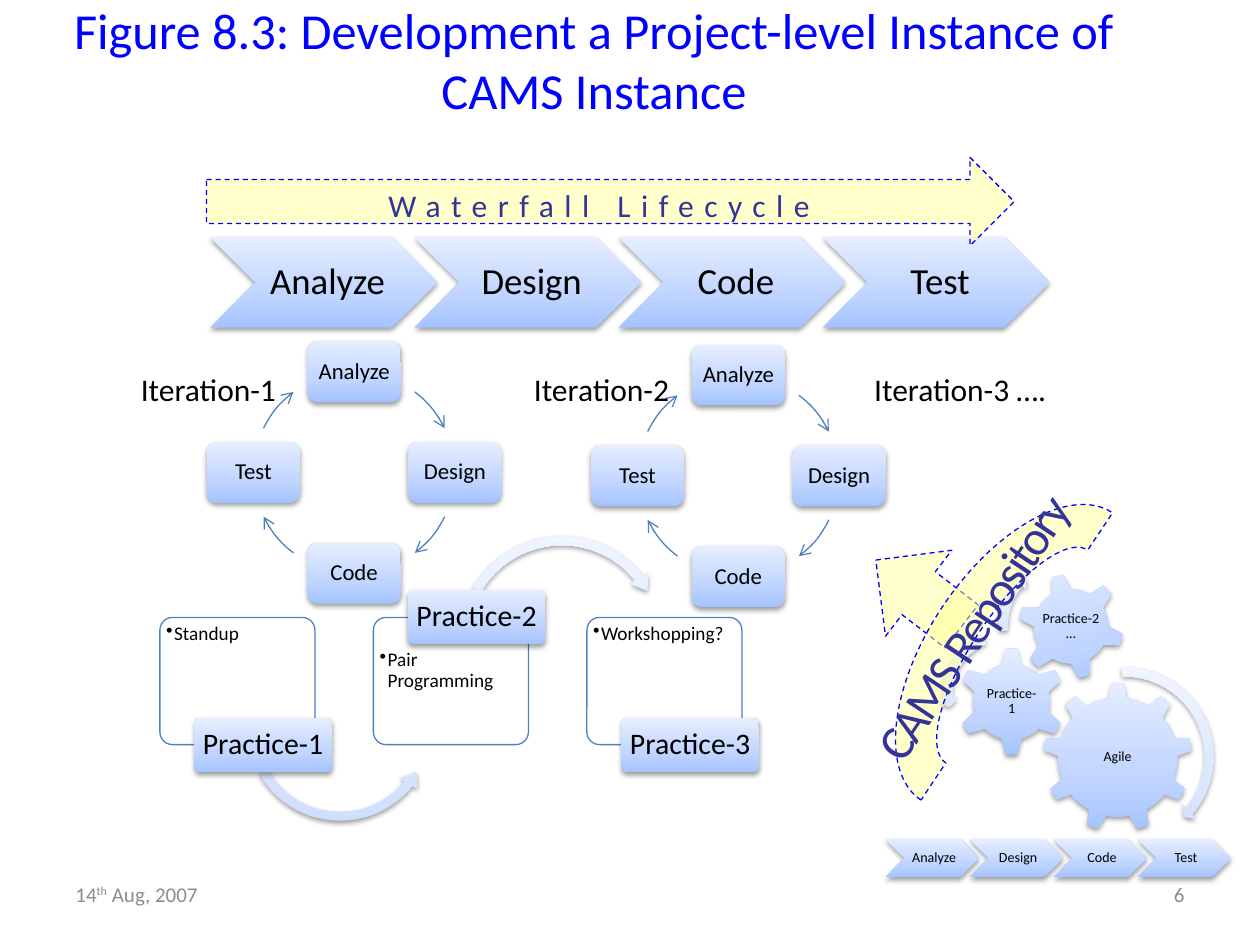
from lxml.etree import SubElement
from pptx import Presentation
from pptx.dml.color import RGBColor
from pptx.enum.dml import MSO_LINE
from pptx.enum.shapes import MSO_SHAPE as Shape
from pptx.enum.text import MSO_ANCHOR as Anchor, PP_ALIGN as Align
from pptx.oxml.ns import qn
from pptx.util import Pt

BLACK, WHITE = RGBColor(0, 0, 0), RGBColor(255, 255, 255)
BLUE, INDIGO = RGBColor(0, 0, 0xFF), RGBColor(0x33, 0x33, 0x99)
STEEL, GREY = RGBColor(0x4F, 0x81, 0xBD), RGBColor(0x8C, 0x8C, 0x8C)
YELLOW = RGBColor(0xFF, 0xFF, 0x99)
DEEP = [(0, "A4C4FF"), (35, "BFD4FF"), (100, "E6EEFF")]
PALE = [(0, "CDDDFE"), (35, "DBE6FE"), (100, "F0F5FF")]

# Content
TITLE = "Figure 8.3: Development a Project-level Instance of CAMS Instance"
PHASES = ["Analyze", "Design", "Code", "Test"]
# Chevron rows: left, top, width, height, text size, insets
CHEVRON_ROWS = [(120.2, 135.4, 129.6, 51.8, 21, (6.5, 2, 2, 2)),
                (506.2, 479.5, 53.3, 21.6, 8, (3, 1, 1, 1))]
# Cycles: centre of each ring, and the angles of its four arrows
CYCLES = [(202.4, 270), (421.9, 271.9)]
RING, NODE_WIDTH, NODE_HEIGHT = 57.6, 53.3, 34.6
DIRECTIONS = [(0, -1), (1, 0), (0, 1), (-1, 0)]
ARCS = [(307, 334), (26, 53), (127, 154), (206, 233)]
ITERATIONS = [("Iteration-1", 73.4, 93), ("Iteration-2", 298, 93),
              ("Iteration-3 ….", 492.5, 114)]
# Practices: name, note, top inset of the note, top of the name, arrow
PRACTICES = [
    ("Practice-1", "Standup", 1.5, 410.4,
     (Shape.LEFT_CIRCULAR_ARROW, 138.2, 360, 112.3,
      (0.045, 5.693, 23.448, 90.245, 0.052))),
    ("Practice-2", "Pair Programming", 16.5, 337,
     (Shape.CIRCULAR_ARROW, 259.2, 303.1, 123.8,
      (0.041, 5.122, 193.123, 125.755, 0.048))),
    ("Practice-3", "Workshopping?", 1.5, 410.4, None),
]
# Gears: text, shape, left, top, size, rotation, label size
GEARS = [("Agile", Shape.GEAR_9, 596.2, 390.2, 85, 0, 51),
         ("Practice-1", Shape.GEAR_6, 547.2, 370.1, 61.9, 0, 31),
         ("Practice-2…", Shape.GEAR_6, 581.8, 327.6, 60.5, 345, 34)]
GEAR_ARROWS = [
    (Shape.CIRCULAR_ARROW, 588.2, 378, 108.7, (0.047, 2.99, 24.181, 160.916, 0.055)),
    (Shape.LEFT_CIRCULAR_ARROW, 535.7, 357.1, 79.2, (0.065, 4.3, 104.891, 148.378, 0.075)),
    (Shape.CIRCULAR_ARROW, 567.4, 314.6, 85, (0.06, 3.941, 133.138, 105.082, 0.07)),
]

deck = Presentation()
deck.slide_width, deck.slide_height = Pt(720), Pt(540)
page = deck.slides.add_slide(deck.slide_layouts[5])


def apply(target, values):
    for name, value in values.items():
        setattr(target, name, value)


def write(box, text, size, color=BLACK, align=Align.CENTER, anchor=Anchor.MIDDLE,
          insets=(7.2, 3.6, 7.2, 3.6), wrap=True, leading=None, tracking=None):
    """Fill a box with one paragraph; text may be a list of (text, baseline)."""
    frame = box.text_frame
    sides = ("margin_left", "margin_top", "margin_right", "margin_bottom")
    apply(frame, dict(zip(sides, map(Pt, insets)), word_wrap=wrap, vertical_anchor=anchor))
    para = frame.paragraphs[0]
    apply(para, {"alignment": align, "line_spacing": leading})
    for part, baseline in [(text, 0)] if isinstance(text, str) else text:
        span = para.add_run()
        span.text = part
        apply(span.font, {"size": Pt(size), "name": "Calibri"})
        span.font.color.rgb = color
        if baseline:
            span.font._element.set("baseline", str(baseline * 1000))
        if tracking:
            span.font._element.set("spc", str(int(tracking * 100)))
    return para


def label(text, left, top, width, height, size, **style):
    box = page.shapes.add_textbox(Pt(left), Pt(top), Pt(width), Pt(height))
    write(box, text, size, **style)


def add_shape(kind, left, top, width, height, adjustments=(), rotation=0):
    shape = page.shapes.add_shape(kind, Pt(left), Pt(top), Pt(width), Pt(height))
    shape.shadow.inherit = False
    shape.rotation = rotation
    for index, value in enumerate(adjustments):
        shape.adjustments[index] = value
    return shape


def add_glossy(*place, stops=DEEP, **options):
    """Shape with a vertical gradient and a soft shadow below it."""
    shape = add_shape(*place, **options)
    shape.line.fill.background()
    shape.fill.gradient()
    shape.fill.gradient_angle = 90
    properties = shape._element.spPr
    stop_list = properties.find(qn("a:gradFill")).find(qn("a:gsLst"))
    stop_list.clear()
    for position, color in stops:
        stop = SubElement(stop_list, qn("a:gs"), pos=str(position * 1000))
        SubElement(stop, qn("a:srgbClr"), val=color)
    shadow = SubElement(properties.find(qn("a:effectLst")), qn("a:outerShdw"),
                        blurRad=str(Pt(3.1)), dist=str(Pt(1.6)), dir="5400000",
                        rotWithShape="0")
    tint = SubElement(shadow, qn("a:srgbClr"), val="000000")
    SubElement(tint, qn("a:alpha"), val="38000")
    return shape


def add_flat(*place, fill, opacity, line, dash=None, **options):
    shape = add_shape(*place, **options)
    shape.fill.solid()
    shape.fill.fore_color.rgb = fill
    tint = shape._element.spPr.find(qn("a:solidFill")).find(qn("a:srgbClr"))
    SubElement(tint, qn("a:alpha"), val=str(opacity * 1000))
    shape.line.color.rgb = line
    apply(shape.line, {"width": Pt(0.75), "dash_style": dash})
    return shape


def add_banner(*place, **options):
    return add_flat(*place, fill=YELLOW, opacity=50, line=BLUE, dash=MSO_LINE.DASH, **options)


def add_turn(kind, left, top, size, adjustments):
    add_glossy(kind, left, top, size, size, stops=PALE, adjustments=adjustments)


def add_chevrons(left, top, width, height, size, insets):
    for index, phase in enumerate(PHASES):
        chevron = add_glossy(Shape.CHEVRON, left + index * width * 0.9, top, width, height)
        write(chevron, phase, size, insets=insets, wrap=False, leading=0.9)


# Title, repository pointer and footer
title = page.shapes.title
apply(title, {"left": Pt(26), "top": Pt(5.8), "width": Pt(627), "height": Pt(56)})
write(title, TITLE, 28.8, BLUE)
add_banner(Shape.LEFT_ARROW, 494, 308, 62, 62, rotation=37.7)
label([("14", 0), ("th", 30), (" Aug, 2007", 0)], 36, 492, 168, 37.4, 12,
      color=GREY, align=Align.LEFT)
label("6", 516, 492, 168, 37.4, 12, color=GREY, align=Align.RIGHT)

# Waterfall lifecycle
add_chevrons(*CHEVRON_ROWS[0])
lifecycle = add_banner(Shape.RIGHT_ARROW, 118, 90, 461.5, 50.4)
write(lifecycle, "Waterfall Lifecycle", 18, INDIGO, anchor=Anchor.TOP, tracking=6)

# Iteration cycles
for x, y in CYCLES:
    for phase, (across, down), angles in zip(PHASES, DIRECTIONS, ARCS):
        node = add_glossy(Shape.ROUNDED_RECTANGLE, x + across * RING - NODE_WIDTH / 2,
                          y + down * RING - NODE_HEIGHT / 2, NODE_WIDTH, NODE_HEIGHT)
        write(node, phase, 13, insets=(3.6,) * 4, wrap=False, leading=0.9)
        # Angle adjustments count in units of 100000/60000 degree
        arc = add_shape(Shape.ARC, x - RING, y - RING, 2 * RING, 2 * RING,
                        adjustments=[angle * 0.6 for angle in angles])
        arc.fill.background()
        arc.line.color.rgb = STEEL
        arc.line.width = Pt(0.75)
        SubElement(arc.line._get_or_add_ln(), qn("a:tailEnd"), type="arrow")
for name, left, width in ITERATIONS:
    label(name, left, 208, width, 29, 18, align=Align.LEFT, anchor=Anchor.TOP, wrap=False)

# Gears
for text, kind, left, top, size, rotation, room in GEARS:
    add_glossy(kind, left, top, size, size, rotation=rotation)
    gap = (size - room) / 2
    label(text, left + gap, top + gap, room, room, 8, insets=(0.7,) * 4, leading=0.9)
for arrow in GEAR_ARROWS:
    add_turn(*arrow)

# Practices
for index, (name, note, inset, name_top, arrow) in enumerate(PRACTICES):
    left = 91.4 + index * 122
    panel = add_flat(Shape.ROUNDED_RECTANGLE, left, 352.8, 88.6, 72.7, adjustments=[0.1],
                     fill=WHITE, opacity=90, line=STEEL)
    para = write(panel, note, 11, align=Align.LEFT, anchor=Anchor.TOP,
                 insets=(1.5, inset, 1.5, 1.5), leading=0.9)
    bullet = para._p.get_or_add_pPr()
    bullet.set("marL", str(Pt(4.5)))
    bullet.set("indent", str(Pt(-4.5)))
    SubElement(bullet, qn("a:buChar"), char="•")
    if arrow:
        add_turn(*arrow)
    tab = add_glossy(Shape.ROUNDED_RECTANGLE, left + 19.7, name_top, 78.5, 31, adjustments=[0.1])
    write(tab, name, 17, insets=(2.9, 1.4, 2.9, 1.4), wrap=False, leading=0.9)

# Repository
repository = add_banner(Shape.BLOCK_ARC, 482.4, 324, 197.3, 102.2, rotation=303.7)
write(repository, "CAMS Repository", 28, INDIGO, anchor=Anchor.TOP, tracking=-1.5)
add_chevrons(*CHEVRON_ROWS[1])

deck.save("out.pptx")
